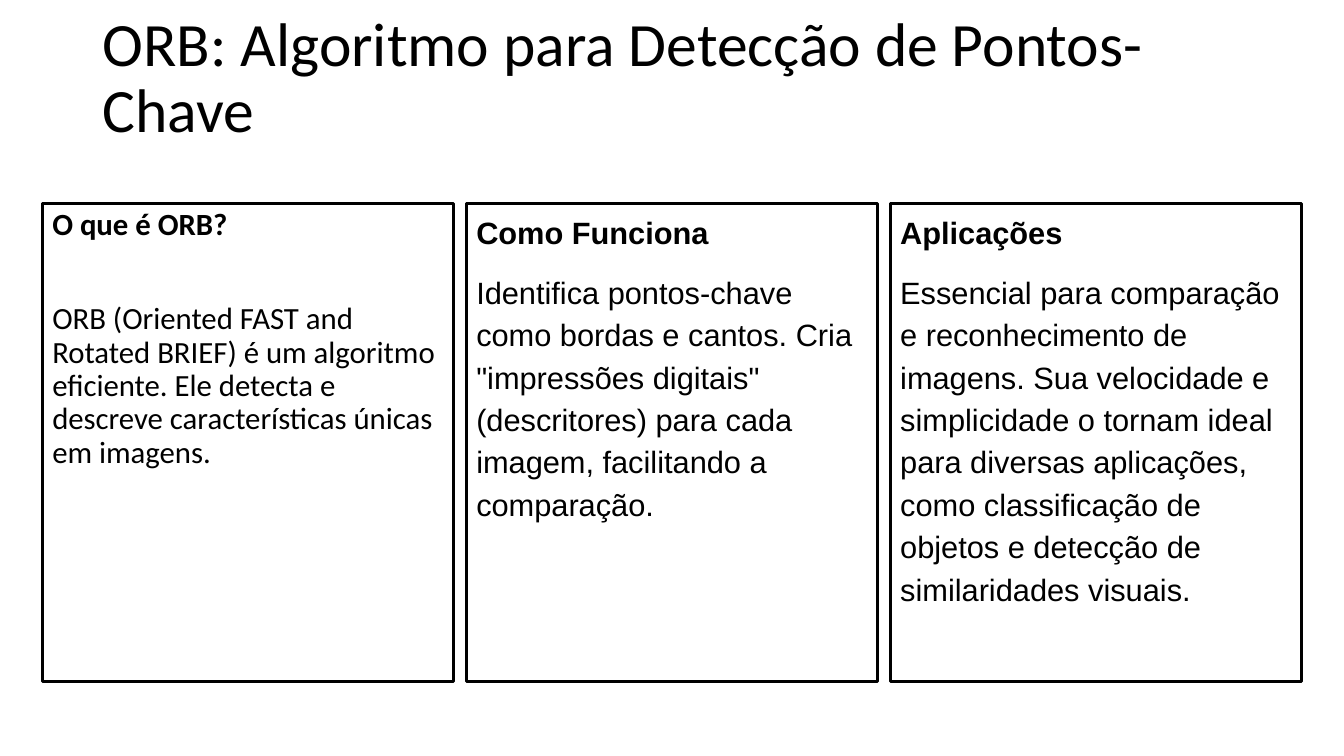
from pptx import Presentation
from pptx.dml.color import RGBColor
from pptx.enum.shapes import MSO_SHAPE as Shape
from pptx.enum.text import MSO_ANCHOR as Anchor, PP_ALIGN as Align
from pptx.util import Inches, Pt

BLACK = RGBColor(0x00, 0x00, 0x00)
WHITE = RGBColor(0xFF, 0xFF, 0xFF)


class ColumnSlide:
    left, top, height = 0.42, 2.02, 4.74
    column, gutter = 4.08, 0.125
    title_size, body_size = 44, 22

    def __init__(self, deck):
        self.slide = deck.slides.add_slide(deck.slide_layouts[6])
        background = self.slide.background.fill
        background.solid()
        background.fore_color.rgb = WHITE

    def frame(self, holder, anchor, bottom=0.05):
        frame = holder.text_frame
        frame.word_wrap = True
        frame.vertical_anchor = anchor
        frame.margin_left = frame.margin_right = Inches(0.1)
        frame.margin_top, frame.margin_bottom = Inches(0.05), Inches(bottom)
        return frame

    def add_text(self, paragraph, text, font, size, spacing, before=0, bold=False):
        paragraph.alignment = Align.LEFT
        paragraph.line_spacing = spacing
        paragraph.space_before = Pt(before)
        run = paragraph.add_run()
        run.text = text
        run.font.name, run.font.size, run.font.bold = font, Pt(size), bold
        run.font.color.rgb = BLACK

    def title(self, text):
        box = self.slide.shapes.add_textbox(
            Inches(0.92), Inches(0.4), Inches(11.5), Inches(1.45))
        frame = self.frame(box, Anchor.MIDDLE, bottom=0.72)
        self.add_text(frame.paragraphs[0], text, "Calibri", self.title_size, 0.9)

    def panel(self, index, heading, body, font, spacing, before, body_gap):
        left = self.left + index * (self.column + self.gutter)
        panel = self.slide.shapes.add_shape(
            Shape.RECTANGLE, Inches(left), Inches(self.top),
            Inches(self.column), Inches(self.height))
        panel.shadow.inherit = False
        panel.fill.background()
        panel.line.color.rgb = BLACK
        panel.line.width = Pt(2.25)
        frame = self.frame(panel, Anchor.TOP)
        self.add_text(frame.paragraphs[0], heading, font, self.body_size,
                      spacing, before, bold=True)
        self.add_text(frame.add_paragraph(), body, font, self.body_size,
                      spacing, body_gap)


def main():
    deck = Presentation()
    deck.slide_width, deck.slide_height = Inches(13.33), Inches(7.5)
    slide = ColumnSlide(deck)
    slide.title("ORB: Algoritmo para Detecção de Pontos-Chave")
    calibri = ("Calibri", 0.9, 10, 44)
    arial = ("Arial", 1.15, 12, 12)
    topics = [
        ("O que é ORB?",
         "ORB (Oriented FAST and Rotated BRIEF) é um algoritmo eficiente. "
         "Ele detecta e descreve características únicas em imagens.", calibri),
        ("Como Funciona",
         "Identifica pontos-chave como bordas e cantos. Cria "
         '"impressões digitais" (descritores) para cada imagem, '
         "facilitando a comparação.", arial),
        ("Aplicações",
         "Essencial para comparação e reconhecimento de imagens. Sua "
         "velocidade e simplicidade o tornam ideal para diversas aplicações, "
         "como classificação de objetos e detecção de similaridades visuais.",
         arial),
    ]
    for index, (heading, body, style) in enumerate(topics):
        slide.panel(index, heading, body, *style)
    deck.save("out.pptx")


if __name__ == "__main__":
    main()
